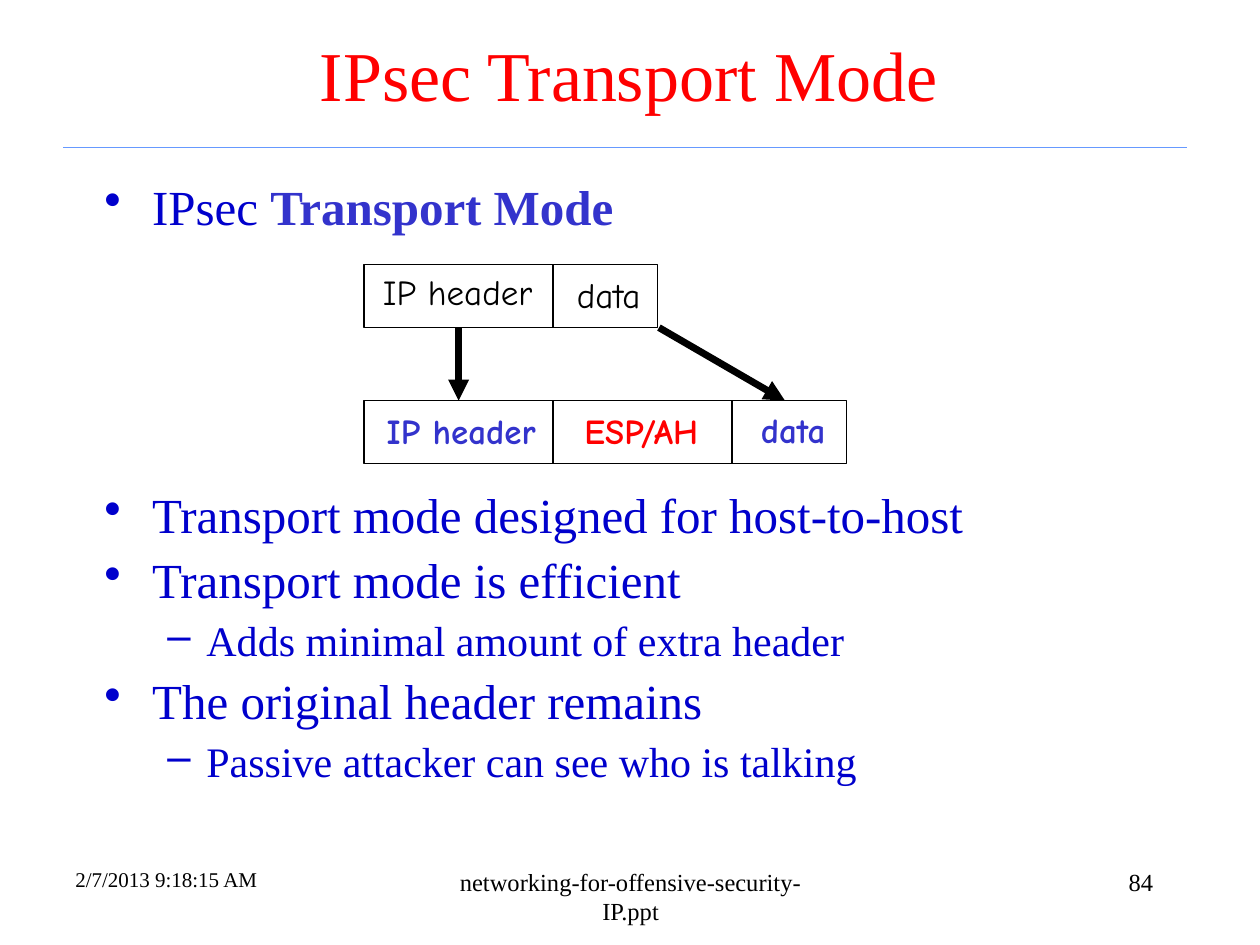
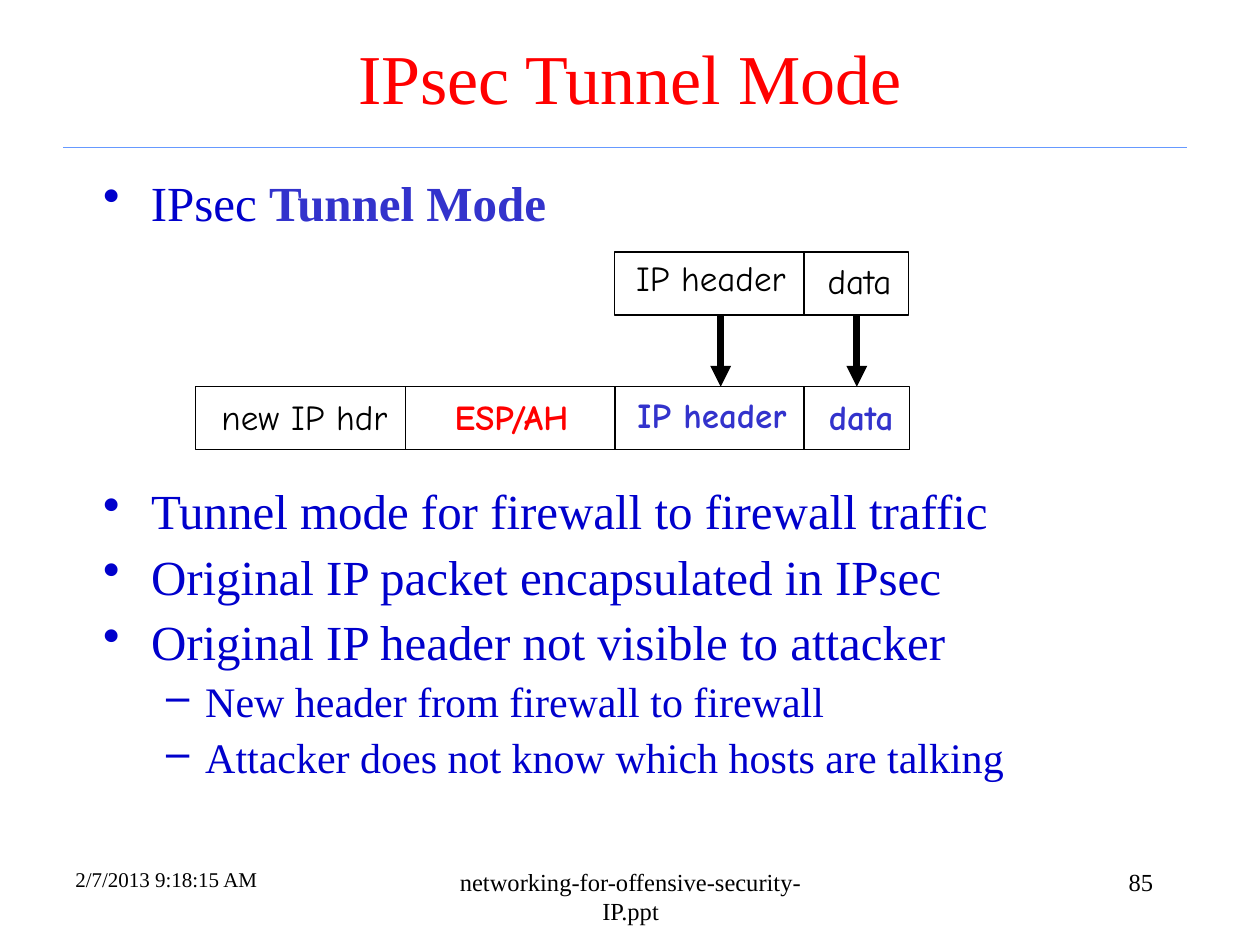
import pptx
import pptx.util
import pptx.dml.color
import pptx.enum.shapes
import pptx.enum.text
import pptx.oxml
import pptx.oxml.ns
from dataclasses import dataclass

Inches = pptx.util.Inches
Pt = pptx.util.Pt
Align = pptx.enum.text.PP_ALIGN


@dataclass(frozen=True)
class Theme:
    serif: str = "Times New Roman"
    comic: str = "Comic Neue"
    red: str = "FF0000"
    blue: str = "0000CC"
    accent: str = "3333CC"
    black: str = "000000"
    rule: str = "6699FF"
    title: int = 40
    label: int = 20
    foot: int = 14
    date: int = 12
    thin: float = 0.75
    thick: float = 4


THEME = Theme()

# Label styles: colour, bold
PLAIN = (THEME.black, False)
KEPT = (THEME.accent, True)
ADDED = (THEME.red, True)

# Bullet levels: size, sign, left indent, hanging indent, space before
LEVELS = [(28, "•", 0.38, 0.38, 7), (24, "–", 0.81, 0.31, 6)]

WIDE, HIGH = 10, 7.5
ROW = 0.5  # height of a packet row

# Footer: text (None for the slide number), left, width, size, alignment
FOOT_TOP = 6.83
FOOTERS = [
    ("networking-for-offensive-security-IP.ppt", 3.42, 3.17, THEME.foot, Align.CENTER),
    (None, 7.17, 2.08, THEME.foot, Align.RIGHT),
    ("2/7/2013 9:18:15 AM", 0.5, 3.21, THEME.date, Align.LEFT),
]

# Rows: left, top, cells as (text, width, style, label offset right, down)
# Arrows: x at the upper row, x at the lower row
SLIDES = [
    dict(
        number=84, title="IPsec Transport Mode", place=(0.74, 0.21, 8.5, 0.75),
        lead="Transport Mode", lead_at=(0.73, 1.35, 8.17, 0.67),
        rows=[
            (2.89, 2.1, [("IP header", 1.5, PLAIN, 0.05, 0),
                         ("data", 0.83, PLAIN, 0.09, 0.02)]),
            (2.89, 3.18, [("IP header", 1.5, KEPT, 0.08, 0.02),
                          ("ESP/AH", 1.42, ADDED, 0.15, 0.02),
                          ("data", 0.91, KEPT, 0.13, 0.01)]),
        ],
        arrows=[(3.64, 3.64), (5.23, 6.23)],
        points_at=(0.73, 3.85, 8.75, 2.75),
        points=[
            (0, "Transport mode designed for host-to-host"),
            (0, "Transport mode is efficient"),
            (1, "Adds minimal amount of extra header"),
            (0, "The original header remains"),
            (1, "Passive attacker can see who is talking"),
        ],
    ),
    dict(
        number=85, title="IPsec Tunnel Mode", place=(0.75, 0.33, 8.5, 0.56),
        lead="Tunnel Mode", lead_at=(0.72, 1.32, 7.33, 0.58),
        rows=[
            (4.88, 2, [("IP header", 1.5, PLAIN, 0.07, -0.01),
                       ("data", 0.83, PLAIN, 0.09, 0.01)]),
            (1.55, 3.07, [("new IP hdr", 1.67, PLAIN, 0.11, 0.02),
                          ("ESP/AH", 1.66, ADDED, 0.29, 0.02),
                          ("IP header", 1.5, KEPT, 0.08, 0),
                          ("data", 0.84, KEPT, 0.1, 0.02)]),
        ],
        arrows=[(5.72, 5.72), (6.8, 6.8)],
        points_at=(0.72, 3.82, 8.92, 2.75),
        points=[
            (0, "Tunnel mode for firewall to firewall traffic"),
            (0, "Original IP packet encapsulated in IPsec"),
            (0, "Original IP header not visible to attacker"),
            (1, "New header from firewall to firewall"),
            (1, "Attacker does not know which hosts are talking"),
        ],
    ),
]


def paint(font, size, color, bold=False, face=THEME.serif):
    font.name, font.size, font.bold = face, Pt(size), bold
    font.color.rgb = pptx.dml.color.RGBColor.from_string(color)


def add_child(parent, tag, **attrs):
    node = pptx.oxml.ns.qn(tag)
    child = parent.makeelement(node, attrs)
    parent.append(child)
    return child


def add_box(slide, left, top, width, height):
    box = slide.shapes.add_textbox(*map(Inches, (left, top, width, height)))
    box.text_frame.word_wrap = True
    return box.text_frame


def add_line(slide, start, end, color, weight, arrow=False):
    line = slide.shapes.add_connector(
        pptx.enum.shapes.MSO_CONNECTOR.STRAIGHT, *map(Inches, start + end))
    line.line.width = Pt(weight)
    line.line.color.rgb = pptx.dml.color.RGBColor.from_string(color)
    if arrow:
        add_child(line.line._get_or_add_ln(), "a:tailEnd", type="triangle")
    add_child(line._element.spPr, "a:effectLst")


def add_title(slide, text, place):
    title = slide.shapes.title
    title.left, title.top, title.width, title.height = map(Inches, place)
    frame = title.text_frame
    frame.text = text
    frame.auto_size = pptx.enum.text.MSO_AUTO_SIZE.NONE
    frame.vertical_anchor = pptx.enum.text.MSO_ANCHOR.MIDDLE
    para = frame.paragraphs[0]
    para.alignment = Align.CENTER
    paint(para.font, THEME.title, THEME.red)


def set_bullet(para, level):
    size, sign, left, hang, space = LEVELS[level]
    para.level = level
    para.space_before = Pt(space)
    paint(para.font, size, THEME.blue)
    props = para._p.get_or_add_pPr()
    props.set("marL", str(Inches(left)))
    props.set("indent", str(-Inches(hang)))
    bullet = pptx.oxml.ns.qn("a:buChar")
    mark = props.makeelement(bullet, {"char": sign})
    props.find(pptx.oxml.ns.qn("a:defRPr")).addprevious(mark)


def add_lead(slide, mode, place):
    para = add_box(slide, *place).paragraphs[0]
    set_bullet(para, 0)
    para.add_run().text = "IPsec "
    run = para.add_run()
    run.text = mode
    paint(run.font, LEVELS[0][0], THEME.accent, True)


def add_points(slide, points, place):
    frame = add_box(slide, *place)
    for i, (level, text) in enumerate(points):
        para = frame.add_paragraph() if i else frame.paragraphs[0]
        para.text = text
        para.line_spacing = 0.9
        set_bullet(para, level)


def add_packet(slide, left, top, cells):
    """Draw a framed row of labelled cells with a divider between each two."""
    total = sum(cell[1] for cell in cells)
    frame = slide.shapes.add_shape(
        pptx.enum.shapes.MSO_SHAPE.RECTANGLE, *map(Inches, (left, top, total, ROW)))
    frame.shadow.inherit = False
    frame.fill.background()
    frame.line.width = Pt(THEME.thin)
    frame.line.color.rgb = pptx.dml.color.RGBColor.from_string(THEME.black)
    x = left
    for text, width, (color, bold), right, down in cells:
        if x > left:
            add_line(slide, (x, top), (x, top + ROW), THEME.black, THEME.thin)
        label = add_box(slide, x + right, top + down, width - right, 0.44)
        label.margin_right = 0
        para = label.paragraphs[0]
        para.text = text
        paint(para.font, THEME.label, color, bold, THEME.comic)
        x += width


def add_footers(slide, number):
    for text, left, width, size, align in FOOTERS:
        para = add_box(slide, left, FOOT_TOP, width, 0.5).paragraphs[0]
        para.text = text or str(number)
        para.alignment = align
        paint(para.font, size, THEME.black)


def add_slide(deck, data):
    slide = deck.slides.add_slide(deck.slide_layouts.get_by_name("Title Only"))
    add_line(slide, (0.5, 1.17), (9.42, 1.17), THEME.rule, 1)
    add_title(slide, data["title"], data["place"])
    add_lead(slide, data["lead"], data["lead_at"])
    for row in data["rows"]:
        add_packet(slide, *row)
    upper, lower = (row[1] for row in data["rows"])
    for start, end in data["arrows"]:
        add_line(slide, (start, upper + ROW), (end, lower),
                 THEME.black, THEME.thick, arrow=True)
    add_points(slide, data["points"], data["points_at"])
    add_footers(slide, data["number"])


def main():
    deck = pptx.Presentation()
    deck.slide_width, deck.slide_height = Inches(WIDE), Inches(HIGH)
    for data in SLIDES:
        add_slide(deck, data)
    deck.save("out.pptx")


if __name__ == "__main__":
    main()
